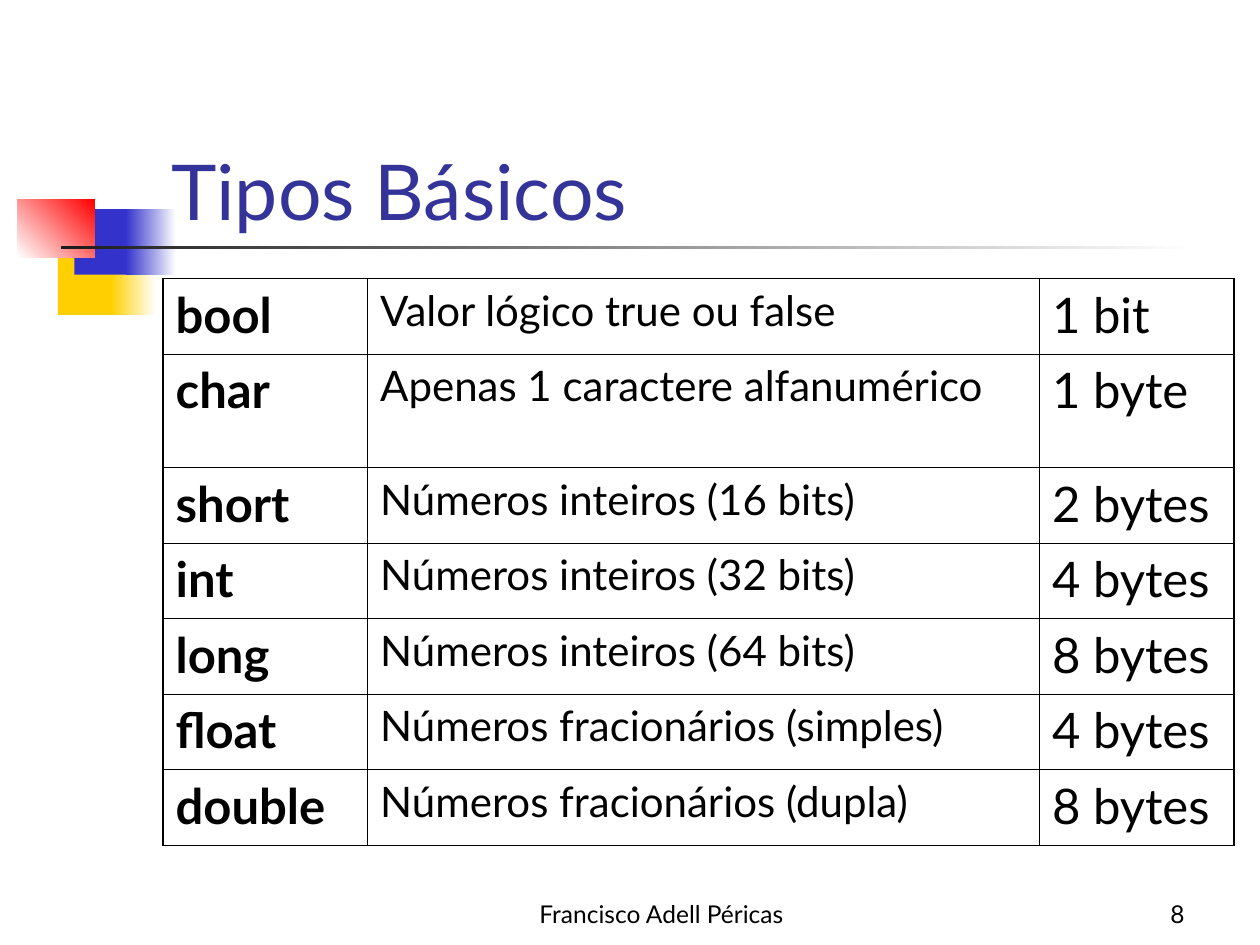
from dataclasses import dataclass

from lxml import etree
from pptx import Presentation
from pptx import util as u
from pptx.dml.color import RGBColor
from pptx.enum import shapes, text
from pptx.oxml import ns

Pt = u.Pt
FONT = "Lato"
INK = {
    "black": "000000", "white": "FFFFFF", "title": "333399", "gold": "FFCF01",
    "blue": "3333CC", "red": "FF0000", "rule": "1C1C1C",
}
THIN, THICK = 0.45, 1.08


@dataclass
class Block:
    x: float
    y: float
    w: float
    h: float
    ink: str
    end: str = ""
    turn: float = 0


@dataclass
class Label:
    x: float
    y: float
    w: float
    h: float
    words: str
    size: float
    ink: str = "black"
    align: str = "LEFT"


@dataclass
class Column:
    width: float
    size: float
    gap: float
    bold: bool = False


BLOCKS = [
    Block(33.1, 142.5, 34.6, 37.5, "gold"),
    Block(63.4, 142.5, 25.9, 37.5, "gold", "white"),
    Block(42.5, 119.5, 33.1, 37.5, "blue"),
    Block(72, 119.5, 28.8, 37.5, "blue", "white"),
    Block(10.1, 113.8, 43.9, 33.1, "white", "red", 45),
    Block(34.6, 140.4, 648, 2.2, "rule", "white"),
]
LABELS = [
    Label(264, 498, 228, 36, "Francisco Adell Péricas", 14, align="CENTER"),
    Label(534, 498, 150, 36, "8", 14, align="RIGHT"),
    Label(90.7, 48.2, 613.4, 90, "Tipos Básicos", 44, "title"),
]
COLUMNS = [Column(116.9, 28, 7, True), Column(384, 24, 6), Column(111.1, 28, 7)]
TYPES = [
    ("bool", "Valor lógico true ou false", "1 bit"),
    ("char", "Apenas 1 caractere alfanumérico", "1 byte"),
    ("short", "Números inteiros (16 bits)", "2 bytes"),
    ("int", "Números inteiros (32 bits)", "4 bytes"),
    ("long", "Números inteiros (64 bits)", "8 bytes"),
    ("float", "Números fracionários (simples)", "4 bytes"),
    ("double", "Números fracionários (dupla)", "8 bytes"),
]
ROW, TALL = 43.2, 64.8


def color(name: str) -> RGBColor:
    return RGBColor.from_string(INK[name])


def write(frame, words: str, *, size: float, ink: str = "black",
          bold: bool = False, align: str = "LEFT", gap: float = 0) -> None:
    para = frame.paragraphs[0]
    para.alignment = getattr(text.PP_ALIGN, align)
    para.space_before = Pt(gap)
    run = para.add_run()
    run.text = words
    run.font.name, run.font.size, run.font.bold = FONT, Pt(size), bold
    run.font.color.rgb = color(ink)


def draw_block(slide, b: Block) -> None:
    box = slide.shapes.add_shape(shapes.MSO_SHAPE.RECTANGLE,
                                 Pt(b.x), Pt(b.y), Pt(b.w), Pt(b.h))
    box.shadow.inherit = False
    box.line.fill.background()
    if b.end:
        box.fill.gradient()
        box.fill.gradient_angle = b.turn
        for stop, name in zip(box.fill.gradient_stops, (b.ink, b.end)):
            stop.color.rgb = color(name)
    else:
        box.fill.solid()
        box.fill.fore_color.rgb = color(b.ink)


def draw_label(slide, l: Label) -> None:
    box = slide.shapes.add_textbox(Pt(l.x), Pt(l.y), Pt(l.w), Pt(l.h))
    frame = box.text_frame
    frame.word_wrap = True
    frame.vertical_anchor = text.MSO_ANCHOR.BOTTOM
    write(frame, l.words, size=l.size, ink=l.ink, align=l.align)


def add_edge(cell, side: str, width: float) -> None:
    props = cell._tc.get_or_add_tcPr()
    line = etree.SubElement(props, ns.qn(f"a:ln{side}"), w=str(int(Pt(width))))
    fill = etree.SubElement(line, ns.qn("a:solidFill"))
    etree.SubElement(fill, ns.qn("a:srgbClr"), val=INK["black"])


def draw_table(slide, x: float, y: float) -> None:
    rows, cols = len(TYPES), len(COLUMNS)
    wide = sum(c.width for c in COLUMNS)
    high = ROW * (rows - 1) + TALL
    table = slide.shapes.add_table(rows, cols, Pt(x), Pt(y), Pt(wide), Pt(high)).table
    table.first_row = table.horz_banding = False
    for c, col in enumerate(COLUMNS):
        table.columns[c].width = Pt(col.width)
    for r, entry in enumerate(TYPES):
        table.rows[r].height = Pt(TALL if entry[0] == "char" else ROW)
        for c, (words, col) in enumerate(zip(entry, COLUMNS)):
            cell = table.cell(r, c)
            # Thick lines only around the outside
            outer = {"L": c == 0, "R": c == cols - 1, "T": r == 0, "B": r == rows - 1}
            for side, edge in outer.items():
                add_edge(cell, side, THICK if edge else THIN)
            cell.fill.background()
            write(cell.text_frame, words, size=col.size, bold=col.bold, gap=col.gap)


def main() -> None:
    deck = Presentation()
    deck.slide_width, deck.slide_height = Pt(720), Pt(540)
    slide = deck.slides.add_slide(deck.slide_layouts[6])
    # Corner squares and rule
    for block in BLOCKS:
        draw_block(slide, block)
    # Footer, page number and title
    for label in LABELS:
        draw_label(slide, label)
    # Table of types
    draw_table(slide, 93.2, 159.1)
    deck.save("out.pptx")


if __name__ == "__main__":
    main()
